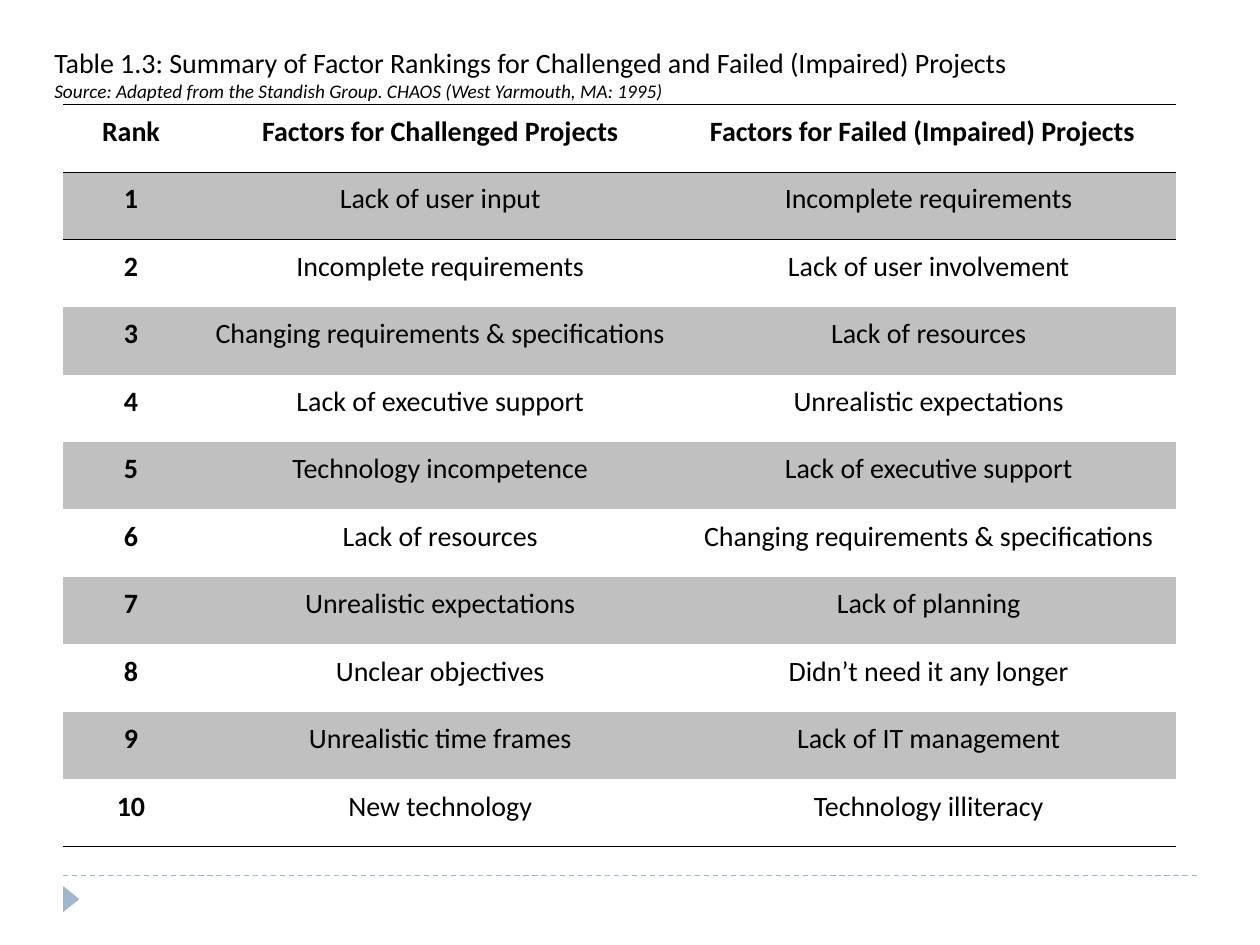
import pptx
import pptx.dml.color
import pptx.enum.dml
import pptx.enum.shapes
import pptx.enum.text
import pptx.oxml
import pptx.oxml.ns
import pptx.util
from pptx.util import Cm

# Content
CAPTION = [
    ("Table 1.3: Summary of Factor Rankings for Challenged and Failed (Impaired) Projects",
     {"size": pptx.util.Pt(16), "italic": False}),
    ("Source: Adapted from the Standish Group. CHAOS (West Yarmouth, MA: 1995)",
     {"size": pptx.util.Pt(11), "italic": True}),
]
HEADER = ("Rank", "Factors for Challenged Projects", "Factors for Failed (Impaired) Projects")
FACTORS = [
    ("Lack of user input", "Incomplete requirements"),
    ("Incomplete requirements", "Lack of user involvement"),
    ("Changing requirements & specifications", "Lack of resources"),
    ("Lack of executive support", "Unrealistic expectations"),
    ("Technology incompetence", "Lack of executive support"),
    ("Lack of resources", "Changing requirements & specifications"),
    ("Unrealistic expectations", "Lack of planning"),
    ("Unclear objectives", "Didn’t need it any longer"),
    ("Unrealistic time frames", "Lack of IT management"),
    ("New technology", "Technology illiteracy"),
]

# Format
BLACK, BAND, ACCENT = "000000", "C0C0C0", "9FB8CD"
FONT = {"name": "Calibri", "size": pptx.util.Pt(16), "bold": False}
LEFT = Cm(1.27)
TABLE_TOP, ROW_HEIGHT = Cm(2.11), Cm(1.36)
COLUMN_WIDTHS = (Cm(2.74), Cm(9.73), Cm(9.96))
RULE_WIDTH = pptx.util.Pt(0.45)
PLAIN_TABLE_STYLE = "{2D5ABB26-0587-4C30-8999-92F81FD0307C}"
CELL = {
    "margin_left": Cm(0.05), "margin_right": Cm(0.05),
    "margin_top": Cm(0.13), "margin_bottom": Cm(0.13),
    "vertical_anchor": pptx.enum.text.MSO_ANCHOR.MIDDLE,
}
CELL_PARAGRAPH = {"alignment": pptx.enum.text.PP_ALIGN.CENTER,
                  "line_spacing": pptx.util.Pt(12)}
CAPTION_BOX = {"left": Cm(0.84), "top": Cm(0.79), "width": Cm(23.06), "height": Cm(1.88)}
CAPTION_FRAME = {
    "word_wrap": True,
    "auto_size": pptx.enum.text.MSO_AUTO_SIZE.NONE,
    "vertical_anchor": pptx.enum.text.MSO_ANCHOR.TOP,
}


def apply(target, values):
    for name, value in values.items():
        setattr(target, name, value)


def paint(color_owner, hex_color):
    color_owner.rgb = pptx.dml.color.RGBColor.from_string(hex_color)


def fill_solid(fill, hex_color):
    fill.solid()
    paint(fill.fore_color, hex_color)


def write(paragraph, text, font_values):
    font = paragraph.add_run().font
    paragraph.runs[0].text = text
    apply(font, {**FONT, **font_values})
    paint(font.color, BLACK)


def add_rule(cell, tag):
    cell._tc.get_or_add_tcPr().append(pptx.oxml.parse_xml(
        f'<a:{tag} {pptx.oxml.ns.nsdecls("a")} w="{int(RULE_WIDTH)}">'
        f'<a:solidFill><a:srgbClr val="{BLACK}"/></a:solidFill></a:{tag}>'))


presentation = pptx.Presentation()
presentation.slide_width, presentation.slide_height = Cm(25.4), Cm(19.05)
slide = presentation.slides.add_slide(presentation.slide_layouts[5])

# Footer line and marker
line = slide.shapes.add_connector(
    pptx.enum.shapes.MSO_CONNECTOR.STRAIGHT, LEFT, Cm(17.65), Cm(24.13), Cm(17.65))
paint(line.line.color, ACCENT)
apply(line.line, {"width": pptx.util.Pt(0.75),
                  "dash_style": pptx.enum.dml.MSO_LINE.DASH})
line._element.spPr.append(
    pptx.oxml.parse_xml(f'<a:effectLst {pptx.oxml.ns.nsdecls("a")}/>'))

marker = slide.shapes.add_shape(
    pptx.enum.shapes.MSO_SHAPE.ISOSCELES_TRIANGLE, Cm(1.17), Cm(17.96), Cm(0.53), Cm(0.33))
marker.rotation = 90
marker.shadow.inherit = False
fill_solid(marker.fill, ACCENT)
marker.line.fill.background()

# Ranking table
rows = [HEADER] + [(str(rank), *pair) for rank, pair in enumerate(FACTORS, 1)]
last = len(rows) - 1
table = slide.shapes.add_table(
    len(rows), len(HEADER), LEFT, TABLE_TOP,
    sum(COLUMN_WIDTHS), ROW_HEIGHT * len(rows)).table
table.horz_banding = False
table._tbl.tblPr.find(pptx.oxml.ns.qn("a:tableStyleId")).text = PLAIN_TABLE_STYLE
for column, width in zip(table.columns, COLUMN_WIDTHS):
    column.width = width

for row_index, texts in enumerate(rows):
    table.rows[row_index].height = ROW_HEIGHT
    for column_index, text in enumerate(texts):
        cell = table.cell(row_index, column_index)
        apply(cell, CELL)
        if row_index in (0, 1):
            add_rule(cell, "lnT")
        if row_index in (0, last):
            add_rule(cell, "lnB")
        if row_index % 2:
            fill_solid(cell.fill, BAND)
        else:
            cell.fill.background()
        paragraph = cell.text_frame.paragraphs[0]
        apply(paragraph, CELL_PARAGRAPH)
        write(paragraph, text, {"bold": row_index == 0 or column_index == 0})

# The last heading sits slightly left of its column's centre
table.cell(0, 2).margin_right = Cm(0.3)

# Caption
caption = slide.shapes.title
apply(caption, CAPTION_BOX)
frame = caption.text_frame
apply(frame, CAPTION_FRAME)
for index, (text, font_values) in enumerate(CAPTION):
    paragraph = frame.add_paragraph() if index else frame.paragraphs[0]
    paragraph.alignment = pptx.enum.text.PP_ALIGN.LEFT
    write(paragraph, text, font_values)

presentation.save("out.pptx")
